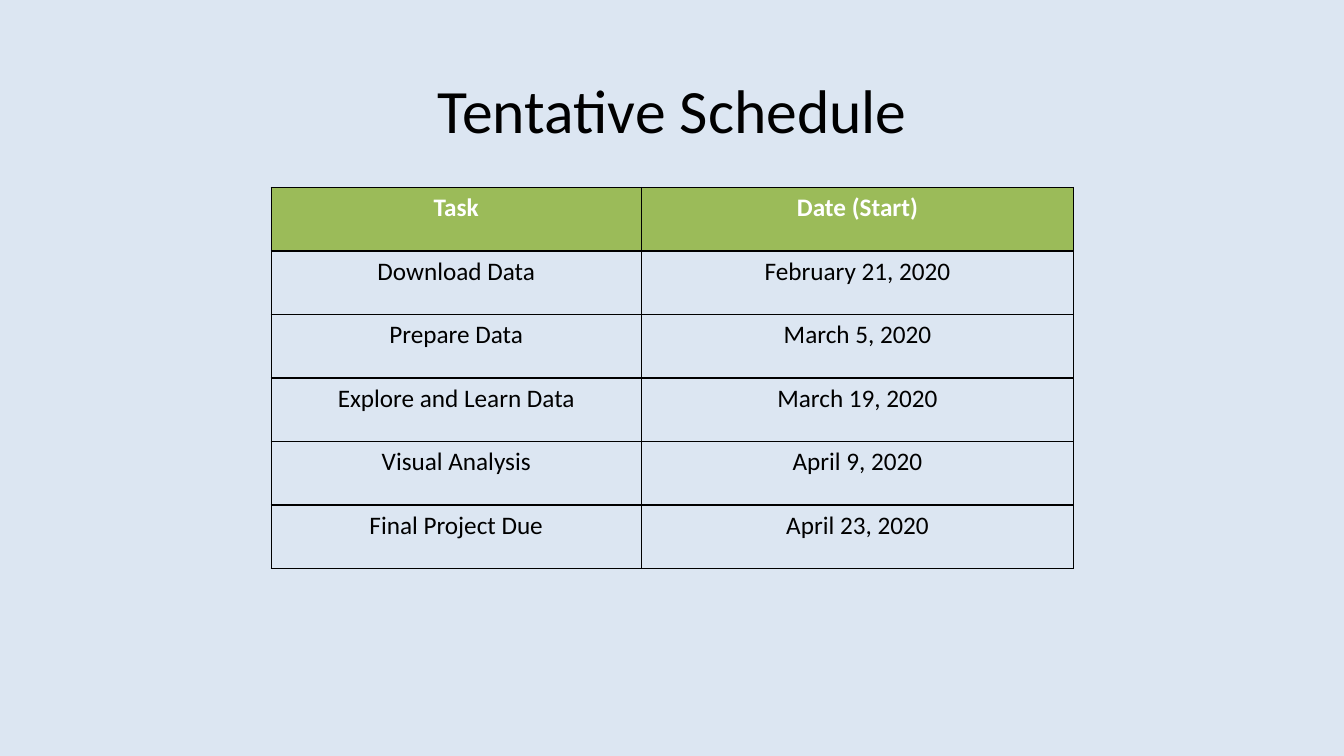
import pptx
import pptx.util
import pptx.dml.color
import pptx.enum.text
import pptx.oxml.ns
from lxml import etree

TITLE = "Tentative Schedule"
ROWS = [
    ("Task", "Date (Start)"),
    ("Download Data", "February 21, 2020"),
    ("Prepare Data", "March 5, 2020"),
    ("Explore and Learn Data", "March 19, 2020"),
    ("Visual Analysis", "April 9, 2020"),
    ("Final Project Due", "April 23, 2020"),
]
COLORS = {"back": "DCE6F2", "head": "9BBB59", "ink": "000000", "light": "FFFFFF"}
FONT = "Calibri"
WIDE, HIGH = 13.33, 7.5
COLS = (3.67, 4.29)
ROW = 0.63
LEFT, TOP = 2.69, 1.86
inch = pptx.util.Inches


def color(name):
    return pptx.dml.color.RGBColor.from_string(COLORS[name])


def write(frame, text, size=18, ink="ink", bold=False, space=1.0):
    para = frame.paragraphs[0]
    para.alignment = pptx.enum.text.PP_ALIGN.CENTER
    para.line_spacing = space
    run = para.add_run()
    run.text = text
    run.font.name = FONT
    run.font.size = pptx.util.Pt(size)
    run.font.bold = bold
    run.font.color.rgb = color(ink)


def border(cell):
    props = cell._tc.get_or_add_tcPr()
    qn = pptx.oxml.ns.qn
    for side in ("lnL", "lnR", "lnT", "lnB"):
        line = etree.SubElement(props, qn("a:" + side), w=str(pptx.util.Pt(1)))
        fill = etree.SubElement(line, qn("a:solidFill"))
        etree.SubElement(fill, qn("a:srgbClr"), val=COLORS["ink"])


def main():
    deck = pptx.Presentation()
    deck.slide_width, deck.slide_height = inch(WIDE), inch(HIGH)
    slide = deck.slides.add_slide(deck.slide_layouts[6])
    slide.background.fill.solid()
    slide.background.fill.fore_color.rgb = color("back")

    box = slide.shapes.add_textbox(inch(0.92), inch(0.4), inch(11.5), inch(1.45))
    frame = box.text_frame
    frame.word_wrap = True
    frame.vertical_anchor = pptx.enum.text.MSO_ANCHOR.MIDDLE
    write(frame, TITLE, size=44, space=0.9)

    table = slide.shapes.add_table(
        len(ROWS), len(COLS), inch(LEFT), inch(TOP),
        inch(sum(COLS)), inch(ROW * len(ROWS))).table
    table.horz_banding = False
    for col, width in zip(table.columns, COLS):
        col.width = inch(width)
    for r, texts in enumerate(ROWS):
        table.rows[r].height = inch(ROW)
        for c, text in enumerate(texts):
            cell = table.cell(r, c)
            border(cell)
            if r == 0:
                cell.fill.solid()
                cell.fill.fore_color.rgb = color("head")
            else:
                cell.fill.background()
            write(cell.text_frame, text, ink="ink" if r else "light", bold=r == 0)

    deck.save("out.pptx")


if __name__ == "__main__":
    main()
